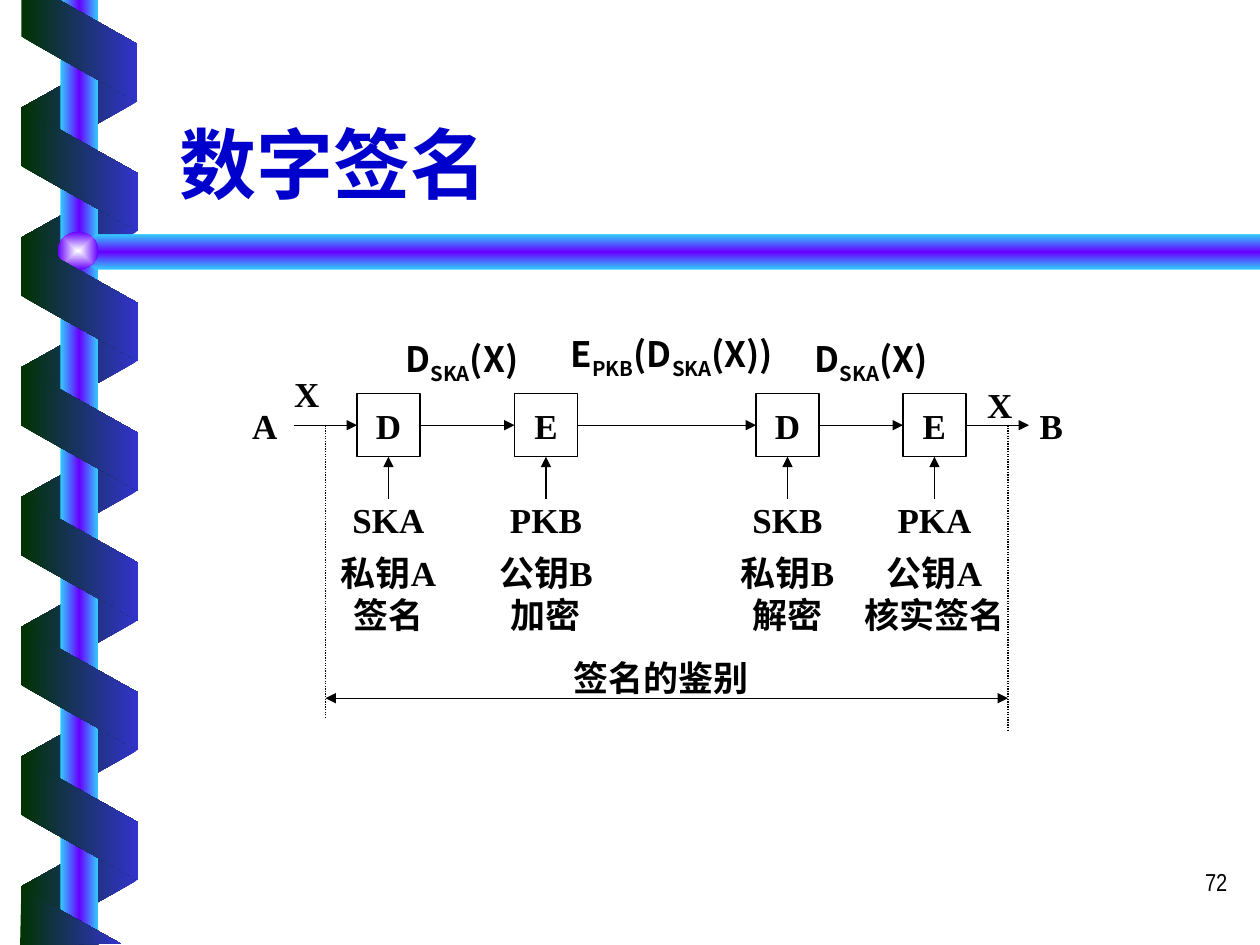
from lxml import etree
from pptx import Presentation
from pptx.dml.color import RGBColor
from pptx.enum.dml import MSO_LINE
from pptx.enum.shapes import MSO_CONNECTOR, MSO_SHAPE
from pptx.enum.text import MSO_ANCHOR, PP_ALIGN
from pptx.oxml import parse_xml
from pptx.oxml.ns import nsdecls, qn
from pptx.util import Inches, Pt

LEFT, CENTER, RIGHT = PP_ALIGN.LEFT, PP_ALIGN.CENTER, PP_ALIGN.RIGHT
MIDDLE, TOP, BOTTOM = MSO_ANCHOR.MIDDLE, MSO_ANCHOR.TOP, MSO_ANCHOR.BOTTOM
RECTANGLE, OVAL = MSO_SHAPE.RECTANGLE, MSO_SHAPE.OVAL
PARALLELOGRAM, STRAIGHT = MSO_SHAPE.PARALLELOGRAM, MSO_CONNECTOR.STRAIGHT
DOTTED = MSO_LINE.ROUND_DOT
SERIF, SANS, NARROW = "Times New Roman", "Noto Sans CJK SC", "Arial Narrow"
BLACK, TITLE_BLUE = "000000", "0000CC"
RIBBON = ("003300", "3333CC")
TUBE = ("33CCFF", "6600FF", "33CCFF")
PEARL = ("FEFFFF", "6600FF")
LINEAR = '<a:lin ang="{}" scaled="0"/>'
FROM_CENTER = ('<a:path path="rect"><a:fillToRect l="50000" t="50000" '
               'r="50000" b="50000"/></a:path>')
UNIT = 1 / 12
RIBBON_PITCH = 1.03
WIRE_ROW, KEY_ROW, SPAN_ROW = 40.5, 47.5, 66.5
BOX_SIZE = 6
STAGES = (
    (34, "D", "SKA", "私钥A", "签名"),
    (49, "E", "PKB", "公钥B", "加密"),
    (72, "D", "SKB", "私钥B", "解密"),
    (86, "E", "PKA", "公钥A", "核实签名"),
)
END_LABELS = ((24, 38.5, "A"), (28, 35.5, "X"), (99, 38.5, "B"), (94, 36.5, "X"))
FORMULAS = (
    (38, 32.2, 12, "D_SKA_(X)"),
    (77, 32.2, 12, "D_SKA_(X)"),
    (54, 31.7, 20, "E_PKB_(D_SKA_(X))"),
)


def color(hex_string):
    """Turn a hex string into a colour."""
    return RGBColor.from_string(hex_string)


def grid(*cells):
    """Convert columns and rows of the diagram grid to lengths."""
    return [Inches(cell * UNIT) for cell in cells]


def fill_gradient(shape, colors, direction):
    """Give a shape an evenly spaced gradient and no outline or shadow."""
    shape.shadow.inherit = False
    shape.line.fill.background()
    shape.fill.background()
    step = 100000 // (len(colors) - 1)
    stops = "".join(
        f'<a:gs pos="{index * step}"><a:srgbClr val="{value}"/></a:gs>'
        for index, value in enumerate(colors))
    properties = shape.element.spPr
    properties.replace(properties.find(qn("a:noFill")), parse_xml(
        f'<a:gradFill {nsdecls("a")} rotWithShape="0">'
        f"<a:gsLst>{stops}</a:gsLst>{direction}</a:gradFill>"))


def add_preset(slide, kind, box, colors, direction):
    """Add a gradient preset shape with its box in inches."""
    shape = slide.shapes.add_shape(kind, *map(Inches, box))
    fill_gradient(shape, colors, direction)
    return shape


def add_polygon(slide, points, colors, direction):
    """Add a closed gradient outline with its points in inches."""
    corners = [(Inches(x), Inches(y)) for x, y in points]
    builder = slide.shapes.build_freeform(*corners[0])
    builder.add_line_segments(corners[1:], close=True)
    fill_gradient(builder.convert_to_shape(), colors, direction)


def add_ribbon_turn(slide, top, front):
    """Add one slanted turn of the ribbon, before or behind the tube."""
    colors = RIBBON if front else RIBBON[::-1]
    height = 0.93 if front else 0.92
    turn = add_preset(slide, PARALLELOGRAM, (0.14, top, 0.98, height),
                      colors, LINEAR.format(0))
    turn.adjustments[0] = 0.56
    turn.rotation = 270 if front else 90
    if not front:
        turn.element.spPr.xfrm.set("flipH", "1")


def write_text(frame, lines, font, size, align=CENTER, bold=True, ink=BLACK):
    """Write lines into a frame, with subscripts between underscores."""
    frame.text = "\n".join(lines)
    for paragraph, line in zip(frame.paragraphs, lines):
        paragraph.text = ""
        paragraph.alignment = align
        for index, part in enumerate(line.split("_")):
            run = paragraph.add_run()
            run.text = part
            run.font.name, run.font.size, run.font.bold = font, Pt(size), bold
            run.font.color.rgb = color(ink)
            properties = run._r.get_or_add_rPr()
            etree.SubElement(properties, qn("a:ea"), typeface=SANS)
            if index % 2:
                properties.set("baseline", "-25000")


def add_text(slide, box, lines, font, size, anchor=TOP, **style):
    """Add a wrapping text box with its box in lengths."""
    frame = slide.shapes.add_textbox(*box).text_frame
    frame.word_wrap = True
    frame.vertical_anchor = anchor
    write_text(frame, lines, font, size, **style)
    return frame


def add_label(slide, cells, lines, font=SERIF, align=CENTER):
    """Add a diagram label without margins on the grid."""
    frame = add_text(slide, grid(*cells), lines, font, 20, MIDDLE, align=align)
    frame.margin_left = frame.margin_right = 0
    frame.margin_top = frame.margin_bottom = 0


def add_line(slide, cells, arrows=(), dash=None):
    """Add a thin black line on the grid with optional arrowheads."""
    connector = slide.shapes.add_connector(STRAIGHT, *grid(*cells))
    connector.line.color.rgb = color(BLACK)
    connector.line.width = Pt(0.75)
    if dash:
        connector.line.dash_style = dash
    for end in arrows:
        etree.SubElement(connector.line._get_or_add_ln(), qn(f"a:{end}"),
                         type="triangle")
    etree.SubElement(connector.element.spPr, qn("a:effectLst"))


def add_stage(slide, column, letter, key, owner, action):
    """Add one cipher box with its key arrow and captions."""
    middle = column + BOX_SIZE / 2
    box = slide.shapes.add_shape(RECTANGLE, *grid(
        column, WIRE_ROW - BOX_SIZE / 2, BOX_SIZE, BOX_SIZE))
    box.shadow.inherit = False
    box.fill.background()
    box.line.color.rgb = color(BLACK)
    box.line.width = Pt(0.75)
    box.text_frame.word_wrap = False
    box.text_frame.vertical_anchor = MIDDLE
    write_text(box.text_frame, [letter], SERIF, 20)
    add_line(slide, (middle, KEY_ROW, middle, WIRE_ROW + BOX_SIZE / 2), ["tailEnd"])
    add_label(slide, (middle - 5, KEY_ROW, 10, 4), [key])
    add_label(slide, (middle - 7, 52.5, 14, 8), [owner, action])


def add_decoration(slide):
    """Add the tube, the crossbar and the ribbon wound around the tube."""
    across, down = LINEAR.format(0), LINEAR.format(5400000)
    for index in range(7):
        add_ribbon_turn(slide, 0.37 + index * RIBBON_PITCH, front=False)
    add_preset(slide, RECTANGLE, (0.48, 0, 0.3, 7.5), TUBE, across)
    add_polygon(slide, [(10, 1.86), (0.76, 1.86), (0.6, 2), (0.76, 2.14),
                        (10, 2.14)], TUBE, down)
    add_preset(slide, OVAL, (0.46, 1.84, 0.32, 0.3), PEARL, FROM_CENTER)
    for index in range(6):
        add_ribbon_turn(slide, 0.88 + index * RIBBON_PITCH, front=True)
    add_polygon(slide, [(0.17, 0), (0.17, 0.29), (1.09, 0.81), (1.09, 0.35),
                        (0.47, 0)], RIBBON, across)
    add_polygon(slide, [(0.96, 7.49), (0.17, 7.05), (0.16, 7.5)], RIBBON, across)


def add_diagram(slide):
    """Add the signature chain from sender A to receiver B."""
    for stage in STAGES:
        add_stage(slide, *stage)
    starts = [28] + [stage[0] + BOX_SIZE for stage in STAGES]
    ends = [stage[0] for stage in STAGES] + [98]
    for start, end in zip(starts, ends):
        add_line(slide, (start, WIRE_ROW, end, WIRE_ROW), ["tailEnd"])
    for column, row, text in END_LABELS:
        add_label(slide, (column, row, 3, 4), [text], align=LEFT)
    for column, row, width, formula in FORMULAS:
        add_label(slide, (column, row, width, 4.5), [formula], SANS)
    for column, bottom in ((31, 68.5), (96, 69.5)):
        add_line(slide, (column, WIRE_ROW, column, bottom), dash=DOTTED)
    add_line(slide, (31, SPAN_ROW, 96, SPAN_ROW), ["headEnd", "tailEnd"])
    add_label(slide, (53, SPAN_ROW - 4, 20, 4), ["签名的鉴别"], SANS)


def main():
    """Build the slide and save it."""
    presentation = Presentation()
    presentation.slide_width, presentation.slide_height = Inches(10), Inches(7.5)
    slide = presentation.slides.add_slide(presentation.slide_layouts[6])
    add_decoration(slide)
    add_text(slide, map(Inches, (7.76, 6.83, 2.08, 0.5)), ["72"], NARROW, 14,
             align=RIGHT, bold=False)
    add_text(slide, map(Inches, (1.33, 0.46, 8.5, 1.25)), ["数字签名"], SANS, 44,
             BOTTOM, align=LEFT, ink=TITLE_BLUE)
    add_diagram(slide)
    presentation.save("out.pptx")


if __name__ == "__main__":
    main()
